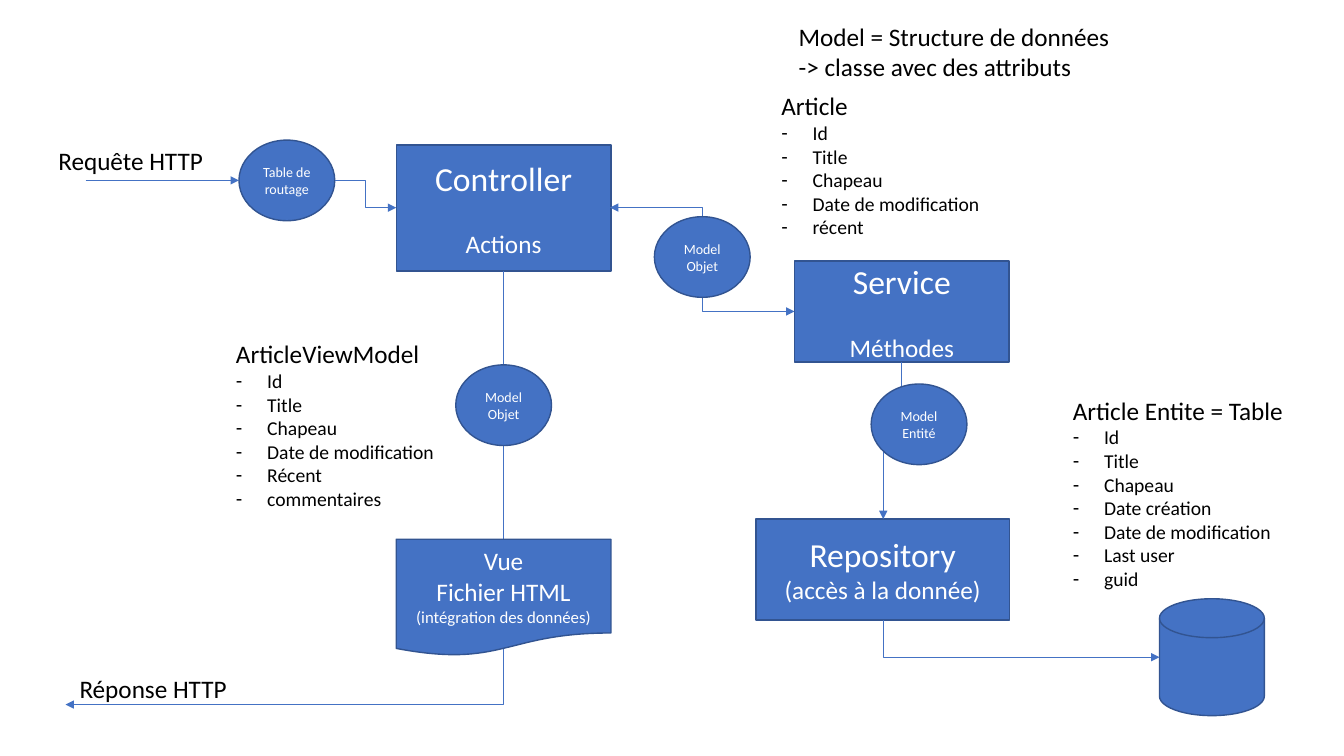
from lxml import etree
from pptx import Presentation
from pptx.dml.color import RGBColor
from pptx.enum.shapes import MSO_CONNECTOR, MSO_SHAPE
from pptx.enum.text import MSO_ANCHOR, MSO_AUTO_SIZE, PP_ALIGN
from pptx.oxml.ns import qn
from pptx.util import Inches, Pt

RECT, OVAL = MSO_SHAPE.RECTANGLE, MSO_SHAPE.OVAL
DOCUMENT, DISK = MSO_SHAPE.FLOWCHART_DOCUMENT, MSO_SHAPE.FLOWCHART_MAGNETIC_DISK
STRAIGHT, ELBOW = MSO_CONNECTOR.STRAIGHT, MSO_CONNECTOR.ELBOW
LEFT, CENTER = PP_ALIGN.LEFT, PP_ALIGN.CENTER
TOP, MIDDLE = MSO_ANCHOR.TOP, MSO_ANCHOR.MIDDLE
NO_AUTOFIT = MSO_AUTO_SIZE.NONE

COMPARISON_LAYOUT = 4
FONT = "Calibri"
COLORS = {"fill": "4472C4", "edge": "325491", "white": "FFFFFF", "black": "000000"}
BUBBLE = (0.95, 0.8)
BLOCK_W = 2.13
GAP = 22  # points between a block's name and its content


def rgb(name):
    return RGBColor.from_string(COLORS[name])


def add_text(tf, text, *, size, color="black", align=LEFT, before=0, bullet=None):
    """Write one paragraph, reusing the frame's first one while it is empty."""
    p = tf.paragraphs[0]
    if p.runs:
        p = tf.add_paragraph()
    p.alignment = align
    p.line_spacing = 1.0
    p.space_before, p.space_after = Pt(before), Pt(0)
    pPr = p._p.get_or_add_pPr()
    indent = Inches(0.31) if bullet else 0
    pPr.set("marL", str(indent))
    pPr.set("indent", str(-indent))
    if bullet:
        etree.SubElement(pPr, qn("a:buChar")).set("char", bullet)
    else:
        etree.SubElement(pPr, qn("a:buNone"))
    r = p.add_run()
    r.text = text
    r.font.name, r.font.size, r.font.bold = FONT, Pt(size), False
    r.font.color.rgb = rgb(color)


class Diagram:
    def __init__(self, prs):
        self.s = prs.slides.add_slide(prs.slide_layouts[COMPARISON_LAYOUT])
        self.placeholders = list(self.s.placeholders)

    def place(self, box):
        """Move the next free placeholder to box and return its text frame."""
        sp = self.placeholders.pop(0)
        sp.left, sp.top, sp.width, sp.height = map(Inches, box)
        tf = sp.text_frame
        tf.word_wrap, tf.auto_size, tf.vertical_anchor = True, NO_AUTOFIT, TOP
        return tf

    def title(self, box, lines):
        tf = self.place(box)
        for line in lines:
            add_text(tf, line, size=18)

    def entity(self, box, name, fields):
        tf = self.place(box)
        add_text(tf, name, size=18)
        for field in fields:
            add_text(tf, field, size=14, bullet="-")

    def label(self, box, text):
        tf = self.s.shapes.add_textbox(*map(Inches, box)).text_frame
        tf.word_wrap = False
        add_text(tf, text, size=18)

    def shape(self, kind, box, lines=()):
        """Draw a filled shape; lines are (text, size) or (text, size, space before)."""
        sp = self.s.shapes.add_shape(kind, *map(Inches, box))
        sp.shadow.inherit = False
        sp.fill.solid()
        sp.fill.fore_color.rgb = rgb("fill")
        sp.line.color.rgb, sp.line.width = rgb("edge"), Pt(1)
        tf = sp.text_frame
        tf.word_wrap, tf.vertical_anchor = True, MIDDLE
        for text, size, *before in lines:
            add_text(tf, text, size=size, color="white", align=CENTER, before=sum(before))

    def bubble(self, x, y, *lines):
        self.shape(OVAL, (x, y, *BUBBLE), [(line, 10) for line in lines])

    def connector(self, kind, start, end, *, both=False):
        c = self.s.shapes.add_connector(kind, *map(Inches, (*start, *end)))
        etree.SubElement(c._element.spPr, qn("a:effectLst"))
        c.line.color.rgb, c.line.width = rgb("fill"), Pt(0.5)
        ln = c.line._get_or_add_ln()
        for tag in ("a:headEnd", "a:tailEnd") if both else ("a:tailEnd",):
            etree.SubElement(ln, qn(tag)).set("type", "triangle")
        return c

    def elbow_down(self, start, end, *, preset="bentConnector2"):
        """Draw an elbow that leaves downwards: a sideways one turned by 90 degrees."""
        (x1, y1), (x2, y2) = start, end
        cx, cy = (x1 + x2) / 2, (y1 + y2) / 2
        dx, dy = (y2 - y1) / 2, (x1 - x2) / 2
        c = self.connector(ELBOW, (cx - dx, cy - dy), (cx + dx, cy + dy))
        c._element.spPr.find(qn("a:xfrm")).set("rot", str(90 * 60000))
        c._element.spPr.find(qn("a:prstGeom")).set("prst", preset)

    def drop_unused(self):
        for sp in self.placeholders:
            sp._element.getparent().remove(sp._element)


def main():
    prs = Presentation()
    prs.slide_width, prs.slide_height = Inches(13.33), Inches(7.5)
    d = Diagram(prs)

    d.title((7.82, 0.16, 3.4, 0.71),
            ["Model = Structure de données", "-> classe avec des attributs"])
    common = ["Id", "Title", "Chapeau"]
    d.entity((7.65, 0.85, 2.21, 1.58), "Article",
             common + ["Date de modification", "récent"])
    d.entity((2.24, 3.31, 2.21, 1.82), "ArticleViewModel",
             common + ["Date de modification", "Récent", "commentaires"])
    d.entity((10.54, 3.87, 2.74, 2.05), "Article Entite = Table",
             common + ["Date création", "Date de modification", "Last user", "guid"])
    d.drop_unused()

    # Request, controller and view
    d.shape(RECT, (3.93, 1.44, BLOCK_W, 1.25),
            [("Controller", 24), ("Actions", 18, GAP)])
    d.connector(STRAIGHT, (0.85, 1.79), (2.37, 1.79))
    d.label((0.48, 1.39, 1.65, 0.4), "Requête HTTP")
    d.bubble(2.37, 1.39, "Table de routage")
    d.connector(ELBOW, (3.32, 1.79), (3.93, 2.06))
    d.elbow_down((4.99, 2.69), (0.65, 6.99))
    d.label((0.69, 6.63, 1.68, 0.4), "Réponse HTTP")
    d.shape(DOCUMENT, (3.93, 5.35, BLOCK_W, 1.16),
            [("Vue", 18), ("Fichier HTML", 18), ("(intégration des données)", 12)])
    d.bubble(4.52, 3.62, "Model", "Objet")

    # Service, repository and database
    d.shape(RECT, (7.88, 2.59, BLOCK_W, 1),
            [("Service", 24), ("Méthodes", 18, GAP)])
    d.connector(ELBOW, (6.05, 2.06), (7.88, 3.09), both=True)
    d.bubble(6.49, 2.15, "Model", "Objet")
    d.shape(DISK, (11.5, 5.94, 1.04, 1.16))
    d.shape(RECT, (7.5, 5.15, 2.51, 1),
            [("Repository", 24), ("(accès à la donnée)", 18)])
    d.elbow_down((8.76, 6.15), (11.5, 6.52))
    d.elbow_down((8.94, 3.59), (8.76, 5.15), preset="bentConnector3")
    d.bubble(8.64, 3.81, "Model", "Entité")

    prs.save("out.pptx")


if __name__ == "__main__":
    main()
